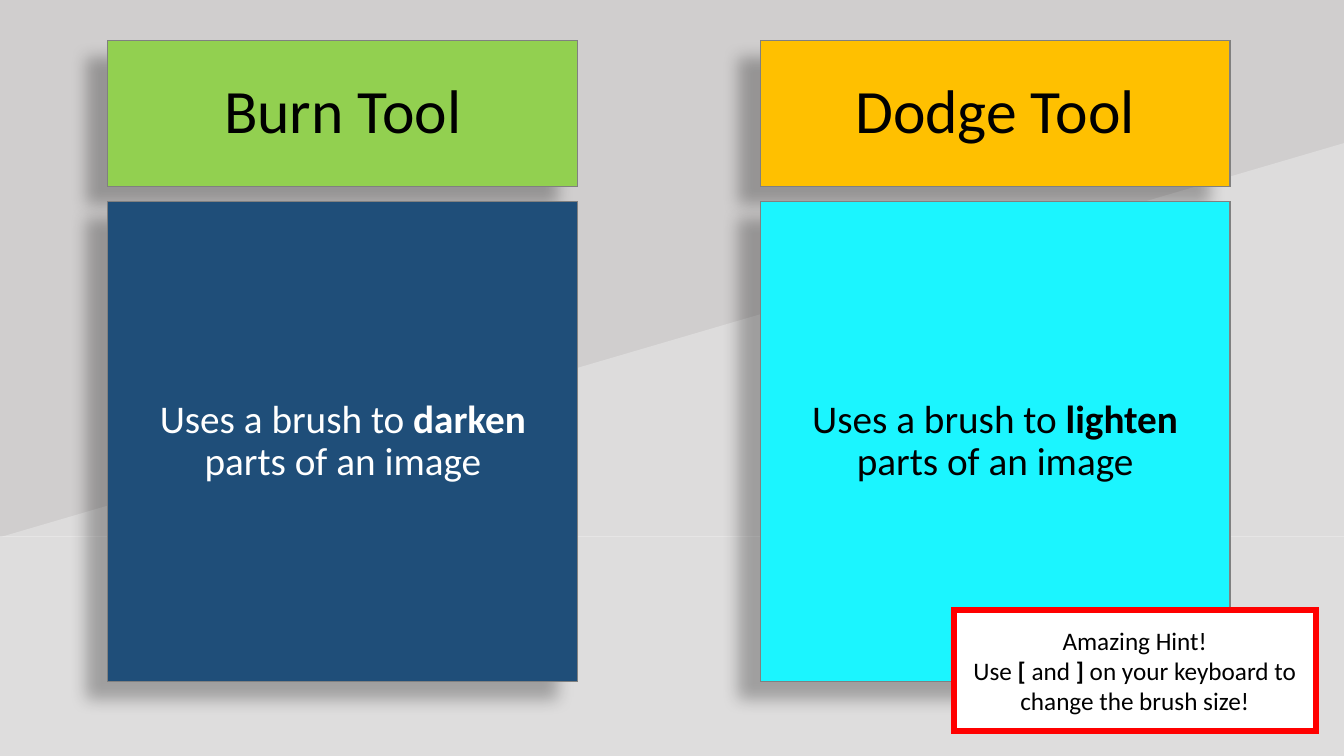
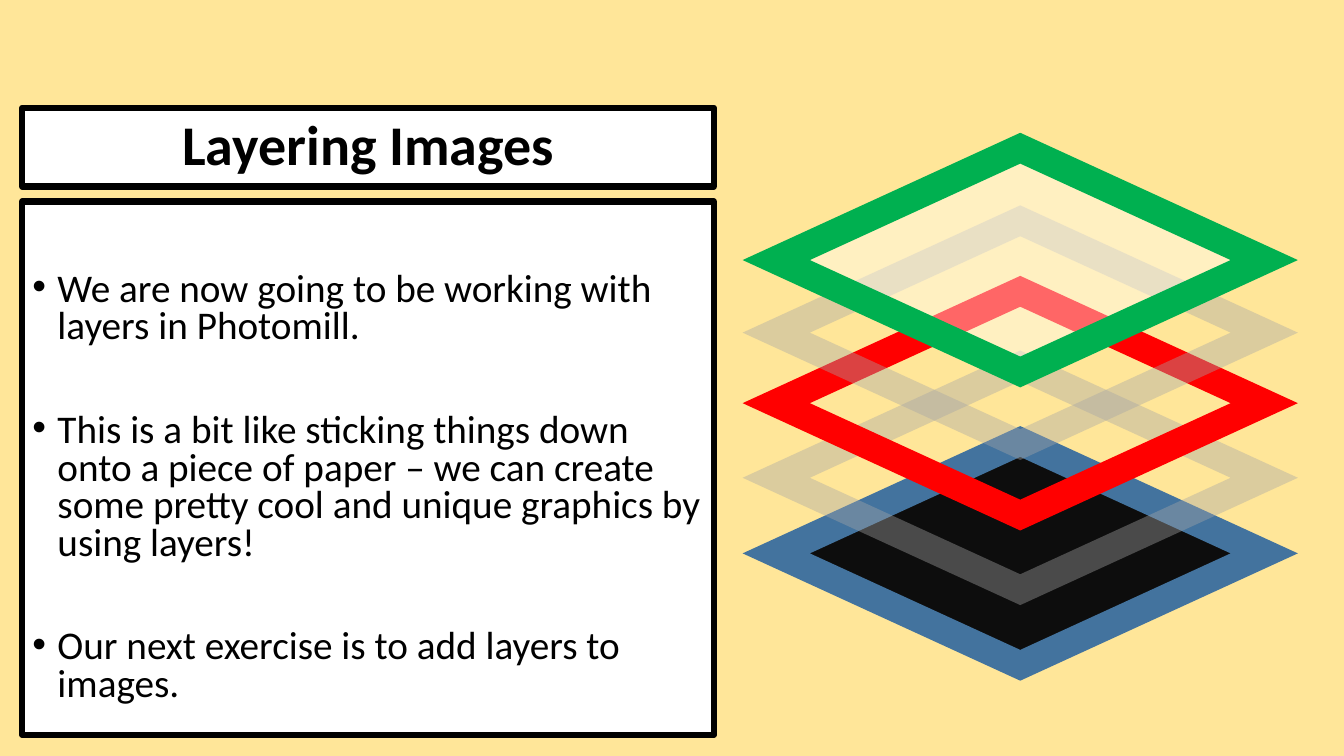
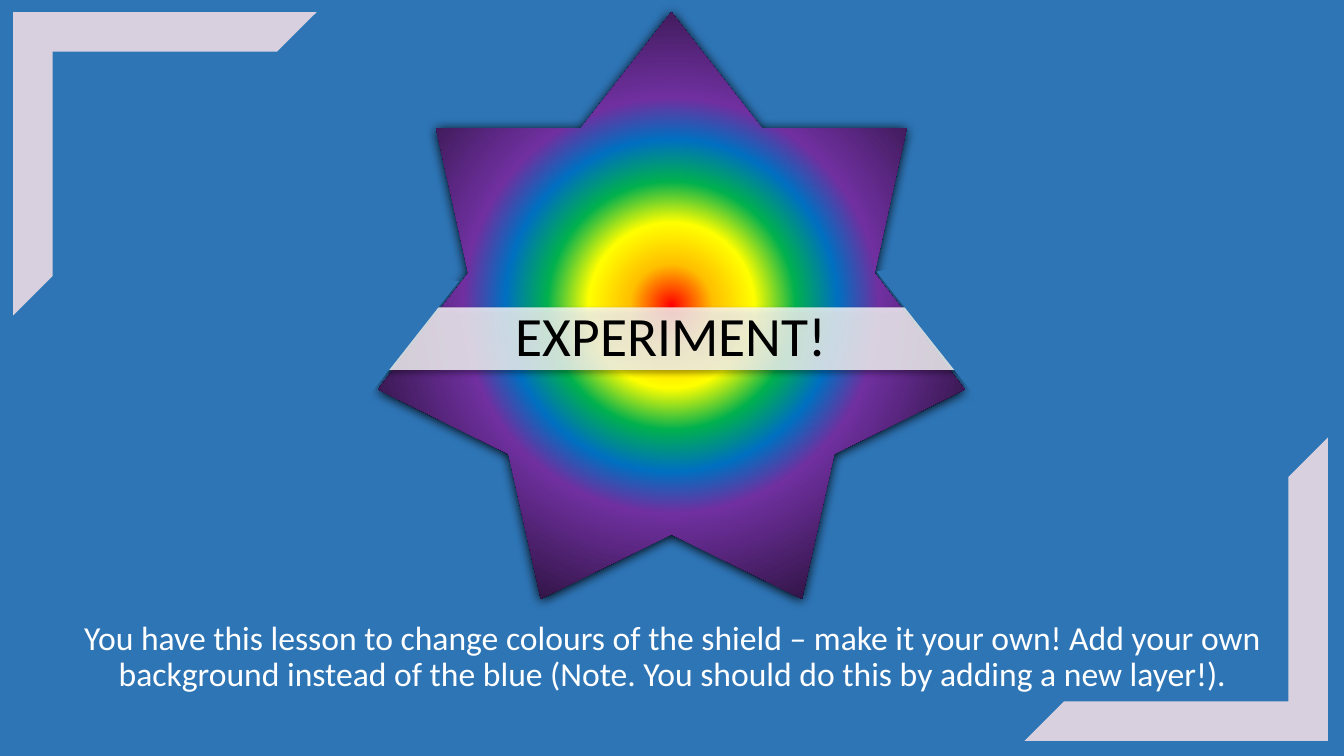
from lxml.etree import SubElement
from pptx import Presentation
from pptx.dml.color import RGBColor
from pptx.enum.shapes import MSO_SHAPE
from pptx.enum.text import MSO_ANCHOR, MSO_AUTO_SIZE, PP_ALIGN
from pptx.oxml.ns import qn
from pptx.util import Emu, Inches, Pt

# Shared look
WIDTH, HEIGHT = Inches(13.33), Inches(7.5)
FONT = "Calibri"
BLACK, WHITE, RED, GREEN, GREY = "000000", "FFFFFF", "FF0000", "00B050", "A6A6A6"
BLUE, LILAC = "2E75B6", "D8D0DE"
PANEL_LINE = ("808080", 0.75)
PANEL_SHADOW = (BLACK, 28, 11.8, 19.7, 141)
BOX_LINE = (BLACK, 4.5)


def color(hex_string):
    return RGBColor.from_string(hex_string)


def area(left, top, width, height):
    """Turn percentages of the slide's size into lengths."""
    return [Emu(round(side * share / 100)) for side, share in
            zip((WIDTH, HEIGHT, WIDTH, HEIGHT), (left, top, width, height))]


def set_alpha(parent, percent):
    clr = next(parent.iter(qn("a:srgbClr")))
    SubElement(clr, qn("a:alpha"), val=str(percent * 1000))


def add_shadow(shape, hex_string, alpha, blur, distance, angle):
    effects = shape._element.spPr.find(qn("a:effectLst"))
    shadow = SubElement(effects, qn("a:outerShdw"), blurRad=str(Pt(blur)),
                        dist=str(Pt(distance)), dir=str(angle * 60000),
                        algn="ctr", rotWithShape="0")
    SubElement(shadow, qn("a:srgbClr"), val=hex_string)
    set_alpha(shadow, alpha)


def style(shape, fill=None, alpha=100, line=None, line_alpha=100,
          shadow=None, sharp=True):
    """Set fill, outline and shadow; line is a colour and a width."""
    if fill:
        shape.fill.solid()
        shape.fill.fore_color.rgb = color(fill)
        if alpha < 100:
            set_alpha(shape._element.spPr.find(qn("a:solidFill")), alpha)
    else:
        shape.fill.background()
    if line:
        shape.line.color.rgb = color(line[0])
        shape.line.width = Pt(line[1])
        outline = shape._element.spPr.find(qn("a:ln"))
        if line_alpha < 100:
            set_alpha(outline, line_alpha)
        if sharp:
            SubElement(outline, qn("a:miter"), lim="800000")
        else:
            SubElement(outline, qn("a:round"))
    else:
        shape.line.fill.background()
    shape.shadow.inherit = False
    if shadow:
        add_shadow(shape, *shadow)


def add_preset(slide, preset, place, flip="", rotation=0, **look):
    shape = slide.shapes.add_shape(preset, *area(*place))
    for axis in flip:
        shape._element.spPr.xfrm.set("flip" + axis, "1")
    shape.rotation = rotation
    style(shape, **look)
    return shape


def send_to_back(shape):
    shape._element.getparent().insert(2, shape._element)


def move(placeholder, place, **look):
    placeholder.left, placeholder.top, placeholder.width, placeholder.height = area(*place)
    style(placeholder, **look)
    return placeholder


def write(shape, paragraphs, size, ink=BLACK, bold=None, spacing=0.9, before=0,
          anchor=MSO_ANCHOR.MIDDLE, bullets=False):
    """Fill a shape with text; *stars* enclose bold words."""
    frame = shape.text_frame
    frame.word_wrap = True
    frame.auto_size = MSO_AUTO_SIZE.NONE
    frame.vertical_anchor = anchor
    for number, text in enumerate(paragraphs):
        paragraph = frame.add_paragraph() if number else frame.paragraphs[0]
        paragraph.alignment = PP_ALIGN.LEFT if bullets else PP_ALIGN.CENTER
        paragraph.line_spacing = spacing
        paragraph.space_before = Pt(before if number else 0)
        properties = paragraph._p.get_or_add_pPr()
        indent = Inches(0.25) if bullets else 0
        properties.set("marL", str(indent))
        properties.set("indent", str(-indent))
        if bullets:
            SubElement(properties, qn("a:buFont"), typeface="Arial")
            SubElement(properties, qn("a:buChar"), char="•")
        else:
            SubElement(properties, qn("a:buNone"))
        font = paragraph.font
        font.name, font.size, font.bold = FONT, Pt(size), bold
        font.color.rgb = color(ink)
        for part, words in enumerate(text.split("*")):
            run = paragraph.add_run()
            run.text = words
            if part % 2:
                run.font.bold = True


def new_slide(deck, background):
    slide = deck.slides.add_slide(deck.slide_layouts[1])
    slide.background.fill.solid()
    slide.background.fill.fore_color.rgb = color(background)
    return slide, slide.shapes.title, slide.placeholders[1]


def radial_fill(shape, stops):
    """Circular gradient from the centre; stops are percent and colour."""
    properties = shape._element.spPr
    shape.fill.gradient()
    gradient = properties.find(qn("a:gradFill"))
    for child in list(gradient):
        gradient.remove(child)
    stop_list = SubElement(gradient, qn("a:gsLst"))
    for percent, hex_string in stops:
        stop = SubElement(stop_list, qn("a:gs"), pos=str(percent * 1000))
        SubElement(stop, qn("a:srgbClr"), val=hex_string)
    circle = SubElement(gradient, qn("a:path"), path="circle")
    SubElement(circle, qn("a:fillToRect"), l="50000", t="50000", r="50000", b="50000")


def tools_slide(deck):
    slide, title, body = new_slide(deck, "D0CECE")

    # Two-tone backdrop
    send_to_back(add_preset(slide, MSO_SHAPE.RIGHT_TRIANGLE, (0, 18.93, 100, 52.13),
                            flip="H", fill="F2F2F2", alpha=40))
    send_to_back(add_preset(slide, MSO_SHAPE.RECTANGLE, (0, 70.93, 100, 29.07),
                            fill="DEDDDD"))

    # One column for each tool
    look = dict(line=PANEL_LINE, shadow=PANEL_SHADOW)
    burn, dodge = 8.03, 56.56
    heading_row, use_row, panel_width = (5.33, 19.33), (26.67, 63.47), 34.96

    def cell(column, row):
        return column, row[0], panel_width, row[1]

    move(title, cell(burn, heading_row), fill="92D050", **look)
    move(body, cell(burn, use_row), fill="1F4E79", **look)
    dodge_heading = add_preset(slide, MSO_SHAPE.RECTANGLE, cell(dodge, heading_row),
                               fill="FFC000", **look)
    dodge_use = add_preset(slide, MSO_SHAPE.RECTANGLE, cell(dodge, use_row),
                           fill="1BF5FF", **look)
    write(title, ["Burn Tool"], 44)
    write(body, ["Uses a brush to *darken* parts of an image"], 28, WHITE)
    write(dodge_heading, ["Dodge Tool"], 44)
    write(dodge_use, ["Uses a brush to *lighten* parts of an image"], 28)

    # Hint
    hint = add_preset(slide, MSO_SHAPE.RECTANGLE, (70.97, 80.67, 26.93, 16),
                      fill=WHITE, line=(RED, 4.5))
    write(hint, ["Amazing Hint!",
                 "Use *[* and *]* on your keyboard to change the brush size!"],
          18, spacing=1)


def layers_slide(deck):
    slide, title, body = new_slide(deck, "FFE699")
    left, width = 1.65, 51.46
    look = dict(fill=WHITE, line=BOX_LINE, sharp=False)
    move(title, (left, 14.27, width, 10.4), **look)
    write(title, ["Layering Images"], 40, bold=True)
    move(body, (left, 26.67, width, 70.53), **look)
    write(body, ["We are now going to be working with layers in Photomill.",
                 "This is a bit like sticking things down onto a piece of paper – "
                 "we can create some pretty cool and unique graphics by using layers!",
                 "Our next exercise is to add layers to images."],
          28, spacing=0.8, before=47, anchor=MSO_ANCHOR.TOP, bullets=True)
    body.text_frame.margin_top = Inches(0.7)

    # Stack of layers, bottom one first
    layers = [
        (58.4, "43739E", dict(fill="0D0D0D")),
        (48.4, GREY, dict(line_alpha=40)),
        (38.53, RED, {}),
        (29.2, GREY, dict(line_alpha=40)),
        (19.6, GREEN, dict(fill=WHITE, alpha=40)),
    ]
    for top, edge, layer_look in layers:
        add_preset(slide, MSO_SHAPE.FLOWCHART_DECISION, (57.76, top, 36.31, 29.6),
                   line=(edge, 20), **layer_look)


def experiment_slide(deck):
    slide, title, body = new_slide(deck, BLUE)

    # Shield with its banner
    left, width = 28.13, 43.66
    shield = add_preset(slide, MSO_SHAPE.STAR_7_POINT, (left, 1.6, width, 77.6),
                        shadow=(BLACK, 100, 8.5, 1, 90))
    radial_fill(shield, [(0, RED), (10, "FFC000"), (20, "FFFF00"), (30, GREEN),
                         (40, "0070C0"), (50, "7030A0"), (100, BLACK)])
    send_to_back(shield)
    move(title, (left, 40.67, width, 8.27), fill="FDFDFD", alpha=80,
         shadow=(BLACK, 40, 4, 3, 45))
    write(title, ["EXPERIMENT!"], 39.6)
    move(body, (1.8, 81.47, 96.47, 12.27))
    write(body, ["You have this lesson to change colours of the shield – make it your "
                 "own! Add your own background instead of the blue (Note. You should "
                 "do this by adding a new layer!)."], 24, WHITE, anchor=MSO_ANCHOR.TOP)

    # Background-coloured corners that trim the banner to the shield
    for place, flip, rotation in [((23.18, 35.6, 9.6, 31.07), "V", 9.4),
                                  ((67.14, 33.73, 10.35, 36.27), "HV", 348.5)]:
        add_preset(slide, MSO_SHAPE.RIGHT_TRIANGLE, place, flip, rotation, fill=BLUE)

    # Corner frames
    for frame_left, frame_top, rotation in [(0.98, 1.6, 0), (76.22, 57.87, 180)]:
        frame = add_preset(slide, MSO_SHAPE.HALF_FRAME,
                           (frame_left, frame_top, 22.58, 40.13),
                           rotation=rotation, fill=LILAC)
        frame.adjustments[0] = frame.adjustments[1] = 0.13


def main():
    deck = Presentation()
    deck.slide_width, deck.slide_height = WIDTH, HEIGHT
    tools_slide(deck)
    layers_slide(deck)
    experiment_slide(deck)
    deck.save("out.pptx")


if __name__ == "__main__":
    main()
